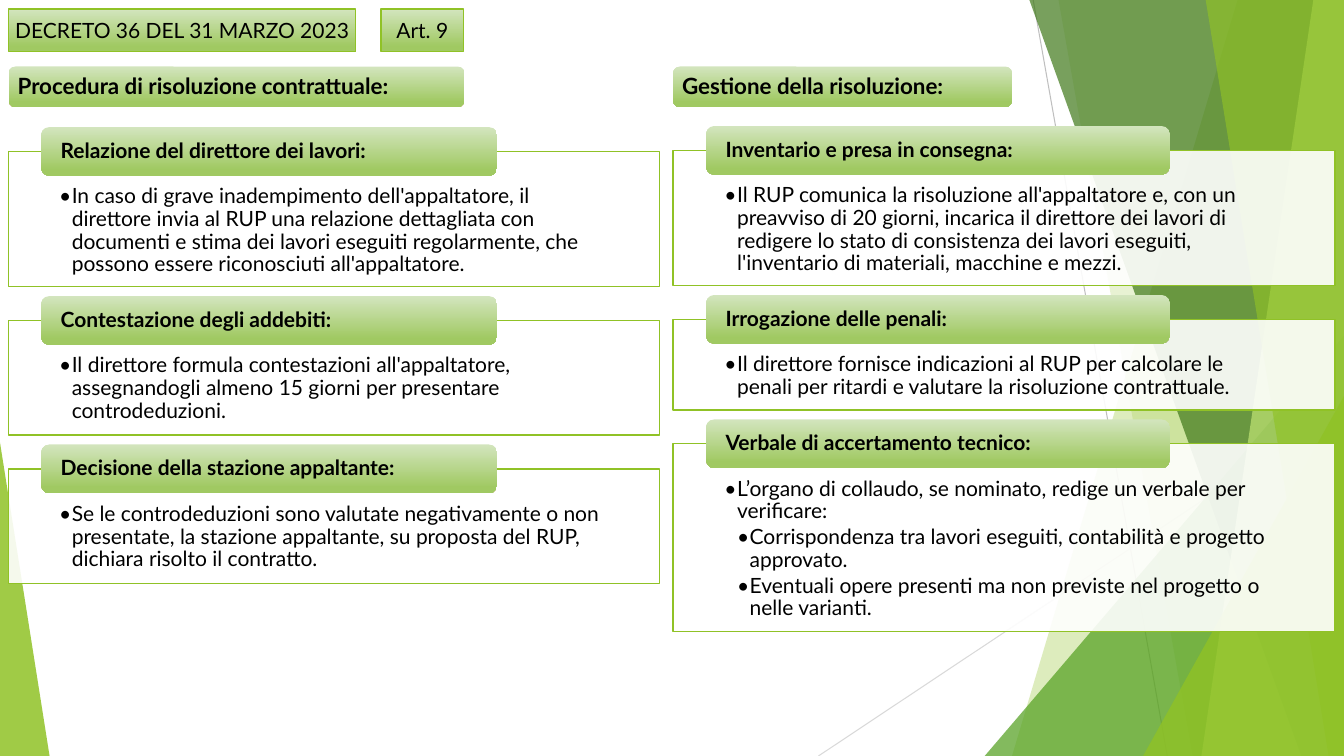
from dataclasses import dataclass

from lxml import etree
from pptx import Presentation
from pptx.dml.color import RGBColor
from pptx.enum.shapes import MSO_CONNECTOR, MSO_SHAPE
from pptx.enum.text import MSO_ANCHOR, PP_ALIGN
from pptx.oxml.ns import qn
from pptx.util import Pt

STRAIGHT = MSO_CONNECTOR.STRAIGHT
RECT, ROUND, TRIANGLE = MSO_SHAPE.RECTANGLE, MSO_SHAPE.ROUNDED_RECTANGLE, MSO_SHAPE.ISOSCELES_TRIANGLE
TOP, MIDDLE = MSO_ANCHOR.TOP, MSO_ANCHOR.MIDDLE
LEFT, CENTER = PP_ALIGN.LEFT, PP_ALIGN.CENTER


@dataclass(frozen=True)
class Theme:
    font: str = "Lato"
    text: str = "000000"
    green: str = "90C226"
    mid_green: str = "54A021"
    dark_green: str = "3F7819"
    lime: str = "C0E474"
    grad_top: str = "D3E5BE"
    grad_bottom: str = "A0C962"
    panel: str = "FFFFFF"
    gray: str = "BFBFBF"
    light_gray: str = "D9D9D9"
    title_size: float = 16
    label_size: float = 15
    body_size: float = 15


T = Theme()
W, H = 960, 540

# Labels: text, left, width
LABELS = [("DECRETO 36 DEL 31 MARZO 2023", 6.2, 247.9), ("Art. 9", 272.3, 58.8)]

# Section items: heading, panel height, bullets as (level, text)
COLUMNS = [
    dict(title="Procedura di risoluzione contrattuale:", left=6.2, width=465.1,
         title_width=325.5, first_panel=108.2, items=[
             ("Relazione del direttore dei lavori:", 96.6, [
                 (1, "In caso di grave inadempimento dell'appaltatore, il direttore invia al RUP una "
                     "relazione dettagliata con documenti e stima dei lavori eseguiti regolarmente, "
                     "che possono essere riconosciuti all'appaltatore.")]),
             ("Contestazione degli addebiti:", 81.9, [
                 (1, "Il direttore formula contestazioni all'appaltatore, assegnandogli almeno "
                     "15 giorni per presentare controdeduzioni.")]),
             ("Decisione della stazione appaltante:", 81.9, [
                 (1, "Se le controdeduzioni sono valutate negativamente o non presentate, la stazione "
                     "appaltante, su proposta del RUP, dichiara risolto il contratto.")]),
         ]),
    dict(title="Gestione della risoluzione:", left=480.8, width=472.8,
         title_width=242, first_panel=107.4, items=[
             ("Inventario e presa in consegna:", 96.6, [
                 (1, "Il RUP comunica la risoluzione all'appaltatore e, con un preavviso di 20 giorni, "
                     "incarica il direttore dei lavori di redigere lo stato di consistenza dei lavori "
                     "eseguiti, l'inventario di materiali, macchine e mezzi.")]),
             ("Irrogazione delle penali:", 64.8, [
                 (1, "Il direttore fornisce indicazioni al RUP per calcolare le penali per ritardi e "
                     "valutare la risoluzione contrattuale.")]),
             ("Verbale di accertamento tecnico:", 134, [
                 (1, "L’organo di collaudo, se nominato, redige un verbale per verificare:"),
                 (2, "Corrispondenza tra lavori eseguiti, contabilità e progetto approvato."),
                 (2, "Eventuali opere presenti ma non previste nel progetto o nelle varianti.")]),
         ]),
]

# Backdrop: rays as (start, end, colour)
RAYS = [((738, 0), (833.8, H), T.gray), ((W, 290.2), (584.6, H), T.light_gray)]
# Bands reach the right edge: top x, bottom x, colour, opacity %
BANDS_BEHIND = [(884.2, 722.9, T.green, 30), (756, 851.8, T.green, 20)]
BANDS_FRONT = [(735.1, 929.5, T.dark_green, 70), (938.2, 858.2, T.lime, 70),
               (861.1, 949, T.green, 65)]
# Corners stand on the bottom edge: left, width, height, apex, colour, opacity %
CORNER_BEHIND = [(703.4, 256.6, 300.2, 1, T.mid_green, 72)]
CORNERS_FRONT = [(816.5, 143.5, 257, 1, T.green, 80), (0, 35.4, 223.9, 0, T.green, 85)]

LABEL_TOP, LABEL_H = 6.5, 30.4
TITLE_TOP, TITLE_H = 47.5, 29
TAB_H, PANEL_GAP = 34.8, 24.1
TAB_OFFSET, TAB_SHARE, PANEL_INSET = 0.05, 0.7, 0.0776
HANG = 9


def rgb(color):
    return RGBColor.from_string(color)


def fill_solid(sp, color, opacity):
    sp.shadow.inherit = False
    sp.fill.solid()
    sp.fill.fore_color.rgb = rgb(color)
    clr = sp.fill._xPr.find(qn("a:solidFill"))[0]
    etree.SubElement(clr, qn("a:alpha"), val=str(opacity * 1000))


def fill_gradient(sp):
    sp.shadow.inherit = False
    sp.fill.gradient()
    sp.fill.gradient_angle = 270
    stops = ((0, T.grad_top), (0.88, T.grad_bottom))
    for stop, (position, color) in zip(sp.fill.gradient_stops, stops):
        stop.position = position
        stop.color.rgb = rgb(color)


def outline(sp):
    sp.line.color.rgb = rgb(T.green)
    sp.line.width = Pt(1)


def add_box(shapes, kind, x, y, w, h):
    return shapes.add_shape(kind, Pt(x), Pt(y), Pt(w), Pt(h))


def write(sp, paragraphs, size, insets, bold=False, align=LEFT, anchor=MIDDLE,
          spacing=None, after=0):
    """Fill the shape with (level, text) paragraphs; levels above 0 get bullets."""
    tf = sp.text_frame
    tf.word_wrap = True
    tf.vertical_anchor = anchor
    tf.margin_left, tf.margin_top, tf.margin_right, tf.margin_bottom = map(Pt, insets)
    for i, (level, text) in enumerate(paragraphs):
        p = tf.add_paragraph() if i else tf.paragraphs[0]
        p.text = text
        p.level, p.alignment = level, align
        p.line_spacing = spacing
        p.space_after = Pt(after * size)
        font = p.runs[0].font
        font.name, font.size, font.bold = T.font, Pt(size), bold
        font.color.rgb = rgb(T.text)
        if level:
            pPr = p._p.get_or_add_pPr()
            pPr.set("marL", str(Pt(HANG * level)))
            pPr.set("indent", str(-Pt(HANG)))
            etree.SubElement(pPr, qn("a:buFont"), typeface=T.font)
            etree.SubElement(pPr, qn("a:buChar"), char="•")


def add_ray(shapes, start, end, color):
    line = shapes.add_connector(STRAIGHT, *map(Pt, start + end))
    line.line.color.rgb = rgb(color)
    line.line.width = Pt(0.75)
    etree.SubElement(line._element.spPr, qn("a:effectLst"))


def add_band(shapes, top_x, bottom_x, color, opacity):
    builder = shapes.build_freeform(Pt(top_x), Pt(-0.6))
    corners = [(W, -0.6), (W, H), (bottom_x, H)]
    builder.add_line_segments([(Pt(x), Pt(y)) for x, y in corners], close=True)
    sp = builder.convert_to_shape()
    fill_solid(sp, color, opacity)
    sp.line.fill.background()


def add_corner(shapes, x, w, h, apex, color, opacity):
    sp = add_box(shapes, TRIANGLE, x, H - h, w, h)
    sp.adjustments[0] = apex
    fill_solid(sp, color, opacity)
    sp.line.fill.background()


def add_heading(shapes, text, x, y, w, h, size, insets):
    sp = add_box(shapes, ROUND, x, y, w, h)
    fill_gradient(sp)
    sp.line.fill.background()
    write(sp, [(0, text)], size, insets, bold=True, spacing=0.9, after=0.35)


def add_column(shapes, title, left, width, title_width, first_panel, items):
    add_heading(shapes, title, left, TITLE_TOP, title_width, TITLE_H, T.title_size, (5, 5, 5, 5))
    side, y = width * PANEL_INSET, first_panel
    for heading, height, bullets in items:
        panel = add_box(shapes, RECT, left, y, width, height)
        fill_solid(panel, T.panel, 90)
        outline(panel)
        write(panel, bullets, T.body_size, (side, 24.5, side, 8.6), anchor=TOP,
              spacing=0.9, after=0.15)
        add_heading(shapes, heading, left + width * TAB_OFFSET, y - TAB_H / 2,
                    width * TAB_SHARE, TAB_H, T.body_size, (12.2, 0, 12.2, 0))
        y += height + PANEL_GAP


def main():
    prs = Presentation()
    prs.slide_width, prs.slide_height = Pt(W), Pt(H)
    shapes = prs.slides.add_slide(prs.slide_layouts[6]).shapes
    backdrop = ((add_ray, RAYS), (add_band, BANDS_BEHIND), (add_corner, CORNER_BEHIND),
                (add_band, BANDS_FRONT), (add_corner, CORNERS_FRONT))
    for add_part, parts in backdrop:
        for part in parts:
            add_part(shapes, *part)
    for text, x, w in LABELS:
        sp = add_box(shapes, RECT, x, LABEL_TOP, w, LABEL_H)
        fill_gradient(sp)
        outline(sp)
        write(sp, [(0, text)], T.label_size, (2, 3.6, 2, 3.6), align=CENTER)
    for column in COLUMNS:
        add_column(shapes, **column)
    prs.save("out.pptx")


if __name__ == "__main__":
    main()
